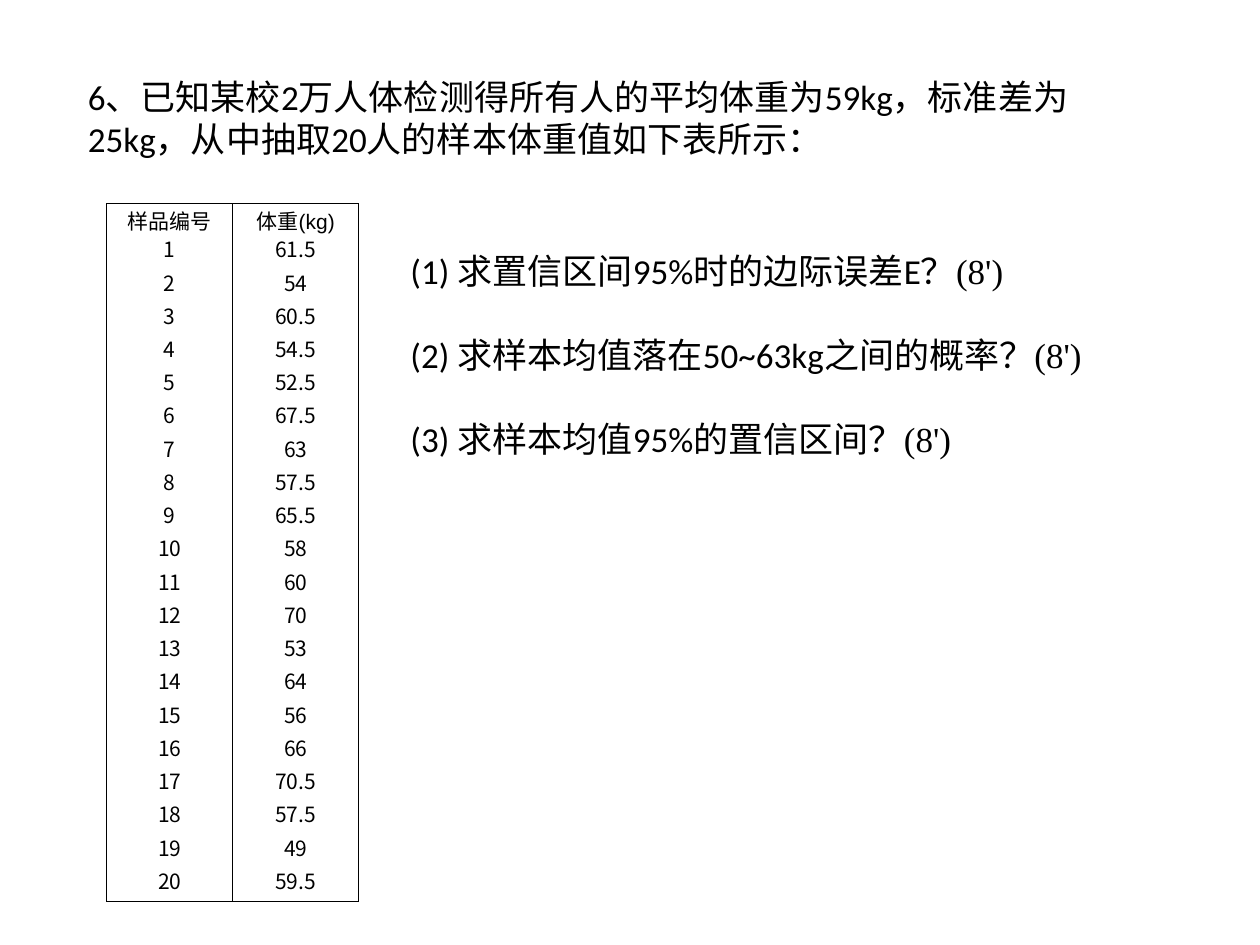
from typing import NamedTuple

from lxml.etree import SubElement
from pptx import Presentation
from pptx.dml.color import RGBColor
from pptx.enum.text import MSO_ANCHOR, MSO_AUTO_SIZE, PP_ALIGN
from pptx.oxml.ns import qn
from pptx.util import Pt

COLORS = {"ink": "000000"}
NO_STYLE = "{2D5ABB26-0587-4C30-8999-92F81FD0307C}"
ROW_HEIGHT, COLUMN_WIDTH = 19, 72
BODY_LINE = 14.6


class Span(NamedTuple):
    text: str
    font: str = "Calibri"


class TextBlock(NamedTuple):
    left: float
    top: float
    width: float
    height: float
    paragraphs: list[list[Span]]
    gap: float = 0


INTRO = "6、已知某校2万人体检测得所有人的平均体重为59kg，标准差为25kg，从中抽取20人的样本体重值如下表所示："
QUESTIONS = [
    "(1) 求置信区间95%时的边际误差E？",
    "(2) 求样本均值落在50~63kg之间的概率？",
    "(3) 求样本均值95%的置信区间？",
]
POINTS = Span("(8')", "Times New Roman")
BLOCKS = [
    TextBlock(43.2, 39.6, 578.9, 121, [[Span(INTRO)]]),
    TextBlock(227.5, 139, 440, 128, [[Span(q), POINTS] for q in QUESTIONS], gap=24),
]
HEADERS = ("样品编号", "体重(kg)")
WEIGHTS = ["61.5", "54", "60.5", "54.5", "52.5", "67.5", "63", "57.5", "65.5", "58",
           "60", "70", "53", "64", "56", "66", "70.5", "57.5", "49", "59.5"]


def format_run(run, font: str, size: float) -> None:
    run.font.name = font
    run.font.size = Pt(size)
    run.font.color.rgb = RGBColor.from_string(COLORS["ink"])


def add_text_block(page, block: TextBlock) -> None:
    box = page.shapes.add_textbox(Pt(block.left), Pt(block.top), Pt(block.width), Pt(block.height))
    frame = box.text_frame
    frame.word_wrap = True
    frame.auto_size = MSO_AUTO_SIZE.SHAPE_TO_FIT_TEXT
    for index, spans in enumerate(block.paragraphs):
        para = frame.add_paragraph() if index else frame.paragraphs[0]
        para.space_before = Pt(block.gap if index else 0)
        for span in spans:
            run = para.add_run()
            run.text = span.text
            format_run(run, span.font, 20)


def set_borders(cell, sides: str) -> None:
    """Rule the named sides (letters from LRTB) and leave the others bare."""
    properties = cell._tc.get_or_add_tcPr()
    for side in "LRTB":
        line = SubElement(properties, qn(f"a:ln{side}"), w=str(Pt(0.5)))
        if side in sides:
            fill = SubElement(line, qn("a:solidFill"))
            SubElement(fill, qn("a:srgbClr"), val=COLORS["ink"])
        else:
            SubElement(line, qn("a:noFill"))


def fill_cell(cell, text: str, is_header: bool, is_last: bool) -> None:
    set_borders(cell, "LRTB" if is_header else "LRB" if is_last else "LR")
    cell.fill.background()
    cell.vertical_anchor = MSO_ANCHOR.MIDDLE
    cell.margin_left = cell.margin_right = cell.margin_top = Pt(0.6)
    cell.margin_bottom = Pt(3.6)
    cell.text_frame.text = text
    para = cell.text_frame.paragraphs[0]
    para.alignment = PP_ALIGN.CENTER
    if not is_header:
        para.line_spacing = Pt(BODY_LINE)
    format_run(para.runs[0], "Arial" if is_header else "Noto Sans CJK SC", 12)


def add_weight_table(page) -> None:
    rows = [HEADERS] + [(str(n), weight) for n, weight in enumerate(WEIGHTS, 1)]
    frame = page.shapes.add_table(len(rows), len(HEADERS), Pt(61), Pt(116.5),
                                  Pt(COLUMN_WIDTH * len(HEADERS)), Pt(ROW_HEIGHT * len(rows)))
    table = frame.table
    table.first_row = table.horz_banding = False
    table._tbl.tblPr.find(qn("a:tableStyleId")).text = NO_STYLE
    for r, values in enumerate(rows):
        table.rows[r].height = Pt(ROW_HEIGHT)
        for c, value in enumerate(values):
            fill_cell(table.cell(r, c), value, r == 0, r == len(rows) - 1)


def main() -> None:
    deck = Presentation()
    deck.slide_width, deck.slide_height = Pt(720), Pt(540)
    page = deck.slides.add_slide(deck.slide_layouts[6])
    intro, questions = BLOCKS
    add_text_block(page, intro)
    add_weight_table(page)
    add_text_block(page, questions)
    deck.save("out.pptx")


if __name__ == "__main__":
    main()
